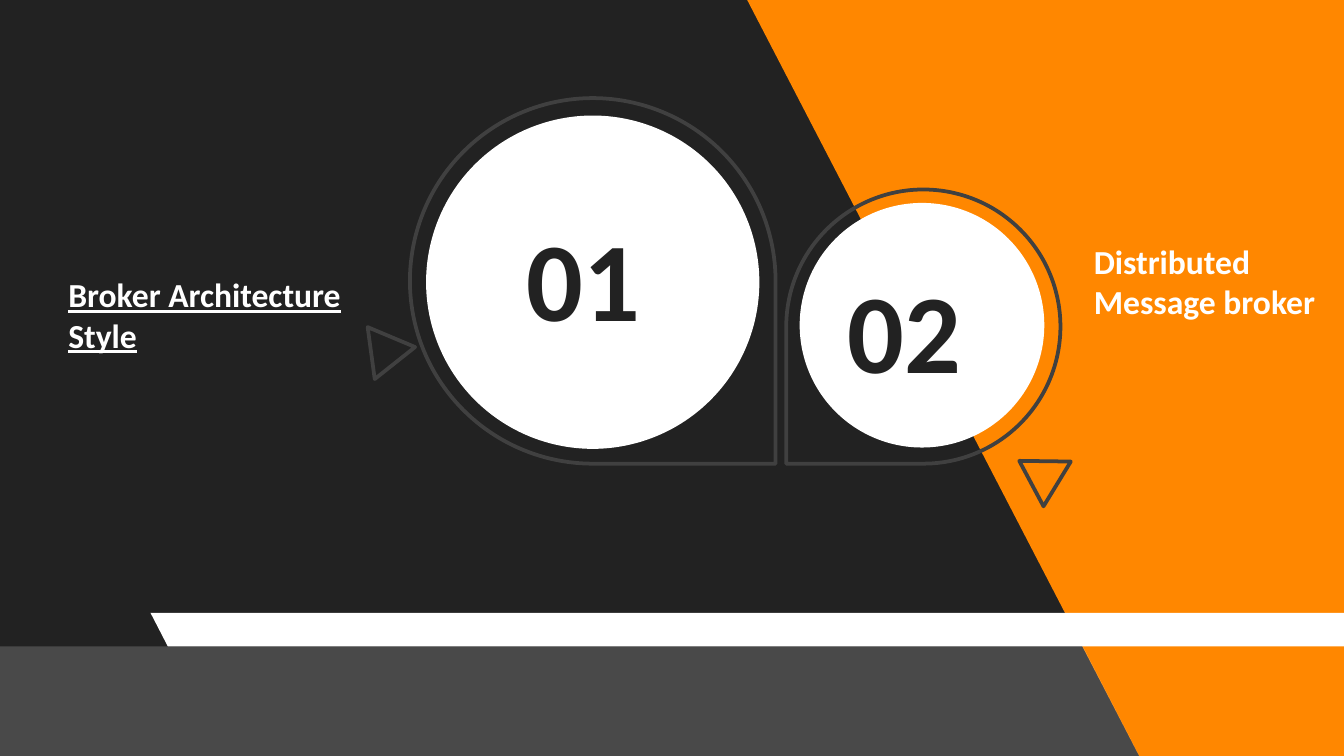
"""Build a slide with two numbered teardrop markers and their captions."""
from dataclasses import dataclass

import lxml.etree
import pptx
import pptx.dml.color
import pptx.enum.shapes
import pptx.enum.text
import pptx.oxml.ns
import pptx.util

Inches = pptx.util.Inches
SHAPE = pptx.enum.shapes.MSO_SHAPE
COLORS = {"dark": "222222", "orange": "FF8700", "white": "FFFFFF", "outline": "404040"}


@dataclass
class Box:
    left: float
    top: float
    width: float
    height: float

    def emu(self) -> tuple:
        return tuple(Inches(v) for v in (self.left, self.top, self.width, self.height))


@dataclass
class Marker:
    number: str
    caption: str
    drop: Box
    drop_rotation: float
    disc: Box
    arrow: Box
    arrow_rotation: float
    number_box: Box
    caption_box: Box
    underline: bool = False


MARKERS = [
    Marker("01", "Broker Architecture Style",
           Box(3.05, 0.73, 2.72, 2.72), 90, Box(3.17, 0.86, 2.48, 2.48),
           Box(2.73, 2.44, 0.39, 0.33), 82.2,
           Box(3.82, 1.51, 2.32, 1.11), Box(0.41, 1.99, 2.51, 0.71), underline=True),
    Marker("02", "Distributed Message broker",
           Box(5.85, 1.41, 2.04, 2.04), 180, Box(5.95, 1.51, 1.82, 1.82),
           Box(7.53, 3.35, 0.39, 0.33), 301.4,
           Box(6.21, 1.9, 2.32, 1.11), Box(8.04, 1.74, 1.96, 0.71)),
]


def rgb(name: str) -> pptx.dml.color.RGBColor:
    return pptx.dml.color.RGBColor.from_string(COLORS[name])


def fill_solid(sp, color: str) -> None:
    sp.shadow.inherit = False
    sp.fill.solid()
    sp.fill.fore_color.rgb = rgb(color)
    sp.line.fill.background()


def add_filled(s, kind, box: Box, color: str):
    sp = s.shapes.add_shape(kind, *box.emu())
    fill_solid(sp, color)
    return sp


def add_outline(s, kind, box: Box, rotation: float) -> None:
    sp = s.shapes.add_shape(kind, *box.emu())
    sp.shadow.inherit = False
    sp.rotation = rotation
    sp.fill.background()
    sp.line.color.rgb = rgb("outline")
    sp.line.width = pptx.util.Pt(2)


def add_band(s, box: Box, opacity: int = 100) -> None:
    sp = add_filled(s, SHAPE.PARALLELOGRAM, box, "white")
    sp.adjustments[0] = 0.515
    sp._element.spPr.xfrm.set("flipH", "1")
    if opacity < 100:
        qn = pptx.oxml.ns.qn
        clr = sp._element.spPr.find(qn("a:solidFill")).find(qn("a:srgbClr"))
        lxml.etree.SubElement(clr, qn("a:alpha")).set("val", str(opacity * 1000))


def add_text(s, text: str, box: Box, *, size: int, color: str,
             underline: bool = False) -> None:
    tf = s.shapes.add_textbox(*box.emu()).text_frame
    tf.word_wrap = True
    tf.auto_size = pptx.enum.text.MSO_AUTO_SIZE.SHAPE_TO_FIT_TEXT
    r = tf.paragraphs[0].add_run()
    r.text = text
    r.font.name = "Calibri"
    r.font.size = pptx.util.Pt(size)
    r.font.bold = True
    r.font.underline = underline or None
    r.font.color.rgb = rgb(color)


def add_backdrop(s) -> None:
    s.background.fill.solid()
    s.background.fill.fore_color.rgb = rgb("dark")
    corners = [(8.5, 5.67), (10.06, 5.67), (10.06, -0.04), (5.56, -0.04)]
    fb = s.shapes.build_freeform(Inches(5.56), Inches(0))
    fb.add_line_segments([(Inches(x), Inches(y)) for x, y in corners])
    fill_solid(fb.convert_to_shape(), "orange")
    add_band(s, Box(-0.46, 4.81, 8.94, 0.82), opacity=18)
    add_band(s, Box(1.12, 4.56, 9.15, 0.25))


def add_marker(s, m: Marker) -> None:
    add_outline(s, SHAPE.TEAR, m.drop, m.drop_rotation)
    add_filled(s, SHAPE.OVAL, m.disc, "white")
    add_outline(s, SHAPE.ISOSCELES_TRIANGLE, m.arrow, m.arrow_rotation)
    add_text(s, m.number, m.number_box, size=60, color="dark")
    add_text(s, m.caption, m.caption_box, size=18, color="white", underline=m.underline)


def main() -> None:
    prs = pptx.Presentation()
    prs.slide_width = Inches(10)
    prs.slide_height = prs.slide_width * 9 // 16
    s = prs.slides.add_slide(prs.slide_layouts[6])
    add_backdrop(s)
    for m in MARKERS:
        add_marker(s, m)
    prs.save("out.pptx")


if __name__ == "__main__":
    main()
